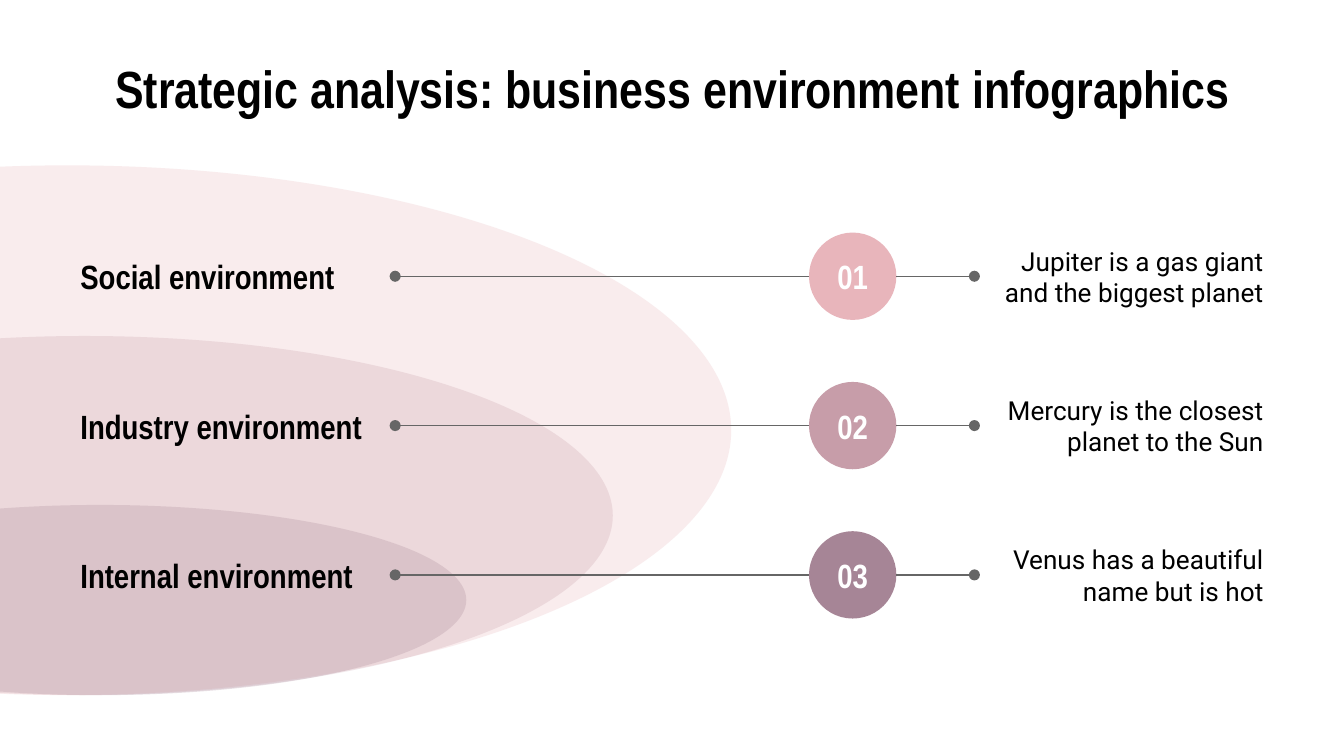
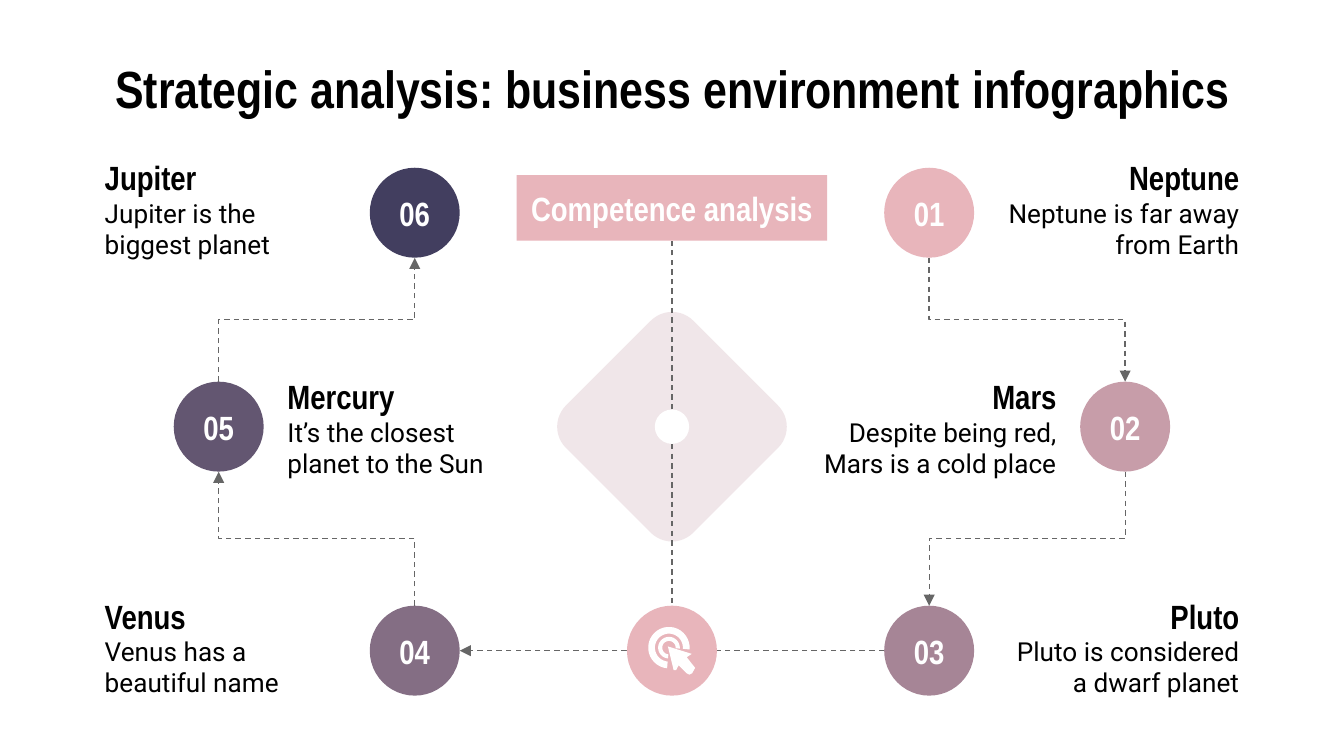
from math import cos, radians, sin

from lxml import etree
from pptx import Presentation
from pptx.dml.color import RGBColor
from pptx.enum.dml import MSO_LINE
from pptx.enum.shapes import MSO_CONNECTOR, MSO_SHAPE
from pptx.enum.text import MSO_ANCHOR, PP_ALIGN
from pptx.oxml.ns import qn
from pptx.util import Pt

OVAL, RECT, ROUND = MSO_SHAPE.OVAL, MSO_SHAPE.RECTANGLE, MSO_SHAPE.ROUNDED_RECTANGLE
LINE, ELBOW = MSO_CONNECTOR.STRAIGHT, MSO_CONNECTOR.ELBOW
LEFT, MID, RIGHT = PP_ALIGN.LEFT, PP_ALIGN.CENTER, PP_ALIGN.RIGHT
CENTER = MSO_ANCHOR.MIDDLE
DASH = MSO_LINE.DASH

HEX = {
    "pink": "E8B5BB", "rose": "C79DA9", "mauve": "A68596", "plum": "846E84",
    "grape": "635671", "navy": "423E5F", "gray": "666666",
    "black": "000000", "white": "FFFFFF",
}
HEAD, BODY = "Arial Narrow", "Roboto"
TITLE = "Strategic analysis: business environment infographics"
WIDE, HIGH = 720, 405

LAYERS = [
    ("pink", -319.7, 88.6, 711.4),
    ("rose", -237.6, 180, 565.9),
    ("mauve", -142.6, 270.5, 392.4),
]
FLOOR = 372.4
LEVELS = [
    ("Social environment", "Jupiter is a gas giant and the biggest planet", "pink"),
    ("Industry environment", "Mercury is the closest planet to the Sun", "rose"),
    ("Internal environment", "Venus has a beautiful name but is hot", "mauve"),
]

ROWS = [114, 228.6, 348.6]
INNER, OUTER = 222.2, 117.2
DISC = 48.2
PLANETS = [
    ("01", "Neptune", "Neptune is far away from Earth", "pink", 0, RIGHT),
    ("02", "Mars", "Despite being red, Mars is a cold place", "rose", 1, RIGHT),
    ("03", "Pluto", "Pluto is considered a dwarf planet", "mauve", 2, RIGHT),
    ("04", "Venus", "Venus has a beautiful name", "plum", 2, LEFT),
    ("05", "Mercury", "It’s the closest planet to the Sun", "grape", 1, LEFT),
    ("06", "Jupiter", "Jupiter is the biggest planet", "navy", 0, LEFT),
]
CURSOR = [
    (357.8, 346.3), (360.9, 359), (362.2, 359), (363.6, 356.4), (367.9, 360.7),
    (369.4, 361.4), (370.8, 360.7), (372.4, 357.8), (367.9, 352.1), (370.6, 350.3),
]


def tint(name):
    return RGBColor.from_string(HEX[name])


def write(shape, text, size, font, color, align, bold):
    frame = shape.text_frame
    frame.word_wrap = True
    frame.vertical_anchor = CENTER
    frame.margin_left = frame.margin_right = Pt(7.2)
    frame.margin_top = frame.margin_bottom = Pt(7.2)
    para = frame.paragraphs[0]
    para.alignment = align
    run = para.add_run()
    run.text = text
    run.font.size = Pt(size)
    run.font.name = font
    run.font.bold = bold
    run.font.color.rgb = tint(color)


def label(slide, text, x, y, w, h, align=LEFT, size=18, font=HEAD):
    box = slide.shapes.add_textbox(Pt(x), Pt(y), Pt(w), Pt(h))
    write(box, text, size, font, "black", align, font == HEAD)


def note(slide, text, x, y, w, align):
    label(slide, text, x, y, w, 31.7, align, 14, BODY)


def paint(shape, color, alpha=None):
    shape.shadow.inherit = False
    shape.fill.solid()
    shape.fill.fore_color.rgb = tint(color)
    shape.line.fill.background()
    if alpha:
        node = shape._element.spPr.find(qn("a:solidFill"))[0]
        etree.SubElement(node, qn("a:alpha")).set("val", str(alpha * 1000))


def block(slide, kind, x, y, w, h, color, text="", alpha=None):
    shape = slide.shapes.add_shape(kind, Pt(x), Pt(y), Pt(w), Pt(h))
    paint(shape, color, alpha)
    if text:
        write(shape, text, 18, HEAD, "white", MID, True)
    return shape


def disc(slide, x, y, size, color, text=""):
    block(slide, OVAL, x - size / 2, y - size / 2, size, size, color, text)


def wire(slide, start, end, kind=LINE, head=None, tail=None, dash=None):
    link = slide.shapes.add_connector(kind, *map(Pt, start + end))
    link.line.color.rgb = tint("gray")
    link.line.width = Pt(0.75)
    if dash:
        link.line.dash_style = dash
    props = link._element.spPr
    for tag, mark in (("a:headEnd", head), ("a:tailEnd", tail)):
        if mark:
            etree.SubElement(props.find(qn("a:ln")), qn(tag)).set("type", mark)
    etree.SubElement(props, qn("a:effectLst"))
    return link


def bend(slide, start, end):
    (x1, y1), (x2, y2) = start, end
    side = 1 if x2 > x1 else -1
    x, y = (x1 + x2) / 2, (y1 + y2) / 2
    dx, dy = side * (y2 - y1) / 2, side * (x2 - x1) / 2
    link = wire(slide, (x + dx, y - dy), (x - dx, y + dy), ELBOW,
                tail="triangle", dash=DASH)
    turn = 270 if side > 0 else 90
    link._element.spPr.xfrm.set("rot", str(turn * 60000))


def outline(slide, points):
    points = [(Pt(x), Pt(y)) for x, y in points]
    pen = slide.shapes.build_freeform(*points[0])
    pen.add_line_segments(points[1:], close=True)
    paint(pen.convert_to_shape(), "white")


def ring(slide, x, y, outer, inner):
    turns = [radians(a) for a in range(95, 366, 10)]
    rim = [(x + outer * cos(a), y + outer * sin(a)) for a in turns]
    hole = [(x + inner * cos(a), y + inner * sin(a)) for a in reversed(turns)]
    outline(slide, rim + hole)


def page(deck):
    slide = deck.slides.add_slide(deck.slide_layouts[6])
    label(slide, TITLE, 36, 32.4, 648, 29.5, MID, 28)
    return slide


def layers(deck):
    slide = page(deck)
    for color, x, y, w in LAYERS:
        block(slide, OVAL, x, y, w, FLOOR - y, color, alpha=25)
    hub, size = 456.8, 46.8
    for i, (name, text, color) in enumerate(LEVELS):
        y = 148 + 80 * i
        label(slide, name, 36, y - 24.5, 175.7, 49)
        note(slide, text, 522, y - 15.8, 162, RIGHT)
        disc(slide, hub, y, size, color, f"{i + 1:02}")
        wire(slide, (211.7, y), (hub - size / 2, y), head="oval")
        wire(slide, (hub + size / 2, y), (522, y), tail="oval")


def cycle(deck):
    slide = page(deck)
    mid, half, wide = WIDE / 2, DISC / 2, 143.3
    top, row, low = ROWS
    side = 96.4
    gem = block(slide, ROUND, mid - side / 2, row - side / 2, side, side, "rose", alpha=25)
    gem.rotation = 45
    gem.adjustments[0] = 0.167

    spots = []
    for code, name, text, color, i, align in PLANETS:
        x = OUTER if i == 1 else INNER
        left = 146.9 if i == 1 else 49
        if align == RIGHT:
            x, left = WIDE - x, WIDE - left - wide
        y = 84.2 + 117.4 * i
        label(slide, name, left, y, wide, 21.6, align)
        note(slide, text, left, y + 22.3, wide, align)
        disc(slide, x, ROWS[i], DISC, color, code)
        spots.append((x, ROWS[i]))

    for a, b in ((0, 1), (1, 2), (3, 4), (4, 5)):
        (x1, y1), (x2, y2) = spots[a], spots[b]
        step = half if y2 > y1 else -half
        bend(slide, (x1, y1 + step), (x2, y2 - step))

    box = block(slide, RECT, mid - 83.2, 93.8, 166.4, 35.2, "pink", "Competence analysis")
    dot = 18.4
    disc(slide, mid, row, dot, "white")
    stem = wire(slide, (mid, row - dot / 2), (mid, 129), dash=DASH)
    stem.end_connect(box, 2)
    wire(slide, (mid, row + dot / 2), (mid, low - half), dash=DASH)
    wire(slide, (WIDE - INNER - half, low), (mid + half, low), dash=DASH)
    wire(slide, (mid - half, low), (INNER + half, low), tail="triangle", dash=DASH)

    disc(slide, mid, low, DISC, "pink")
    ring(slide, 358.4, 347, 11.1, 7.5)
    ring(slide, 358.4, 347, 5.8, 3.6)
    outline(slide, CURSOR)


def main():
    deck = Presentation()
    deck.slide_width, deck.slide_height = Pt(WIDE), Pt(HIGH)
    layers(deck)
    cycle(deck)
    deck.save("out.pptx")


if __name__ == "__main__":
    main()
